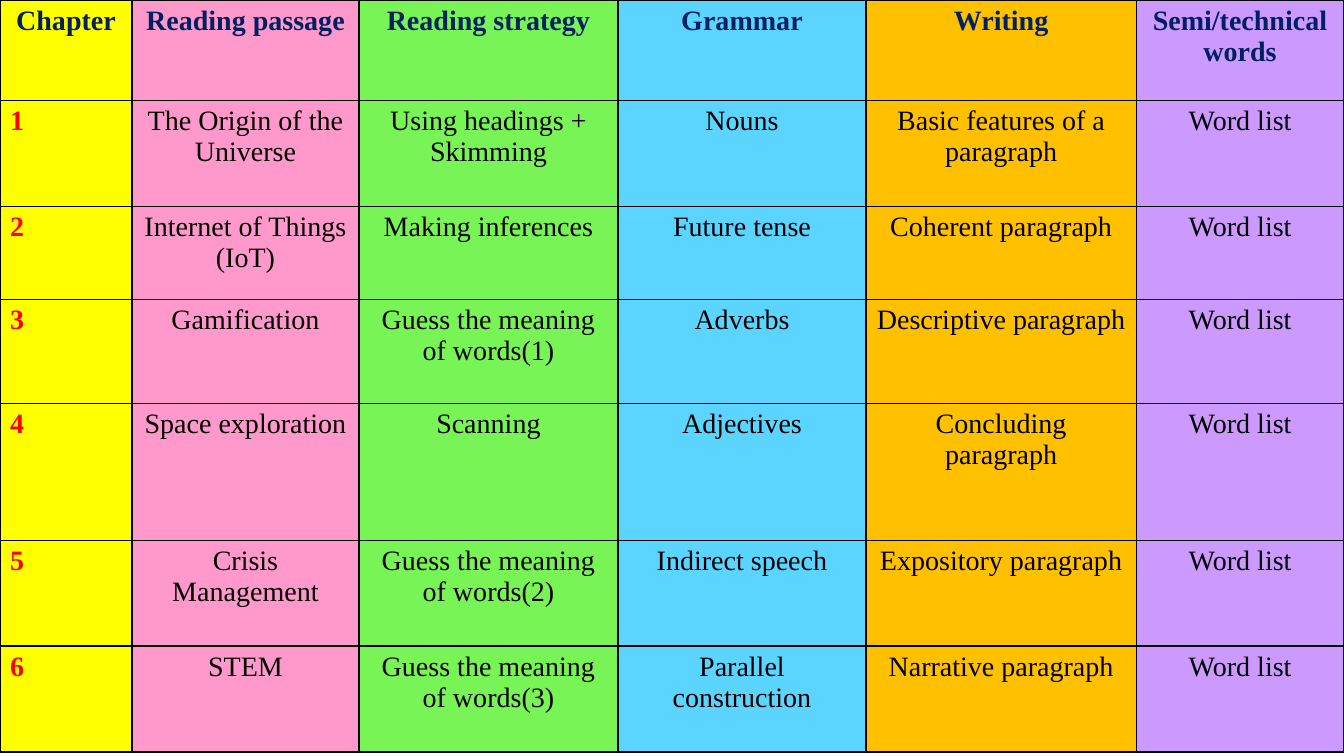
from lxml import etree
from pptx import Presentation
from pptx.dml.color import RGBColor
from pptx.enum import text
from pptx.oxml import ns
from pptx.util import Inches, Pt

COLORS = {"navy": "002060", "red": "FF0000", "black": "000000"}
COLUMNS = [  # heading, width, fill
    ("Chapter", 1.31, "FFFF00"),
    ("Reading passage", 2.25, "FF99CC"),
    ("Reading strategy", 2.57, "78F456"),
    ("Grammar", 2.46, "5BD4FF"),
    ("Writing", 2.68, "FFC000"),
    ("Semi/technical words", 2.06, "CC99FF"),
]
ROW_HEIGHTS = [1, 1.05, 0.92, 1.03, 1.36, 1.05, 1.05]
CHAPTERS = [
    ("The Origin of the Universe", "Using headings + Skimming", "Nouns", "Basic features of a paragraph"),
    ("Internet of Things (IoT)", "Making inferences", "Future tense", "Coherent paragraph"),
    ("Gamification", "Guess the meaning of words(1)", "Adverbs", "Descriptive paragraph"),
    ("Space exploration", "Scanning", "Adjectives", "Concluding paragraph"),
    ("Crisis Management", "Guess the meaning of words(2)", "Indirect speech", "Expository paragraph"),
    ("STEM", "Guess the meaning of words(3)", "Parallel construction", "Narrative paragraph"),
]


def add_borders(cell):
    """Draw a thin black line on all four sides of the cell."""
    properties = cell._tc.get_or_add_tcPr()
    for position, side in enumerate(("lnL", "lnR", "lnT", "lnB")):
        line = etree.Element(ns.qn(f"a:{side}"), w=str(Pt(1)))
        fill = etree.SubElement(line, ns.qn("a:solidFill"))
        etree.SubElement(fill, ns.qn("a:srgbClr"), val=COLORS["black"])
        properties.insert(position, line)


deck = Presentation()
deck.slide_width, deck.slide_height = Inches(13.33), Inches(7.5)
page = deck.slides.add_slide(deck.slide_layouts[6])

rows = [[heading for heading, width, fill in COLUMNS]]
rows += [(str(number), *topics, "Word list") for number, topics in enumerate(CHAPTERS, 1)]

frame = page.shapes.add_table(len(rows), len(COLUMNS), 0, 0, Inches(13.33), Inches(sum(ROW_HEIGHTS)))
table = frame.table
table.horz_banding = False
for column, (heading, width, fill) in zip(table.columns, COLUMNS):
    column.width = Inches(width)
for row, height in zip(table.rows, ROW_HEIGHTS):
    row.height = Inches(height)

for row_index, words in enumerate(rows):
    for column_index, word in enumerate(words):
        is_heading = row_index == 0
        is_number = column_index == 0 and not is_heading
        color = "navy" if is_heading else "red" if is_number else "black"

        cell = table.cell(row_index, column_index)
        cell.fill.solid()
        cell.fill.fore_color.rgb = RGBColor.from_string(COLUMNS[column_index][2])
        add_borders(cell)

        para = cell.text_frame.paragraphs[0]
        para.alignment = text.PP_ALIGN.LEFT if is_number else text.PP_ALIGN.CENTER
        span = para.add_run()
        span.text = word
        formats = {"name": "Times New Roman", "size": Pt(20), "bold": is_heading or is_number}
        for name, value in formats.items():
            setattr(span.font, name, value)
        span.font.color.rgb = RGBColor.from_string(COLORS[color])

deck.save("out.pptx")
